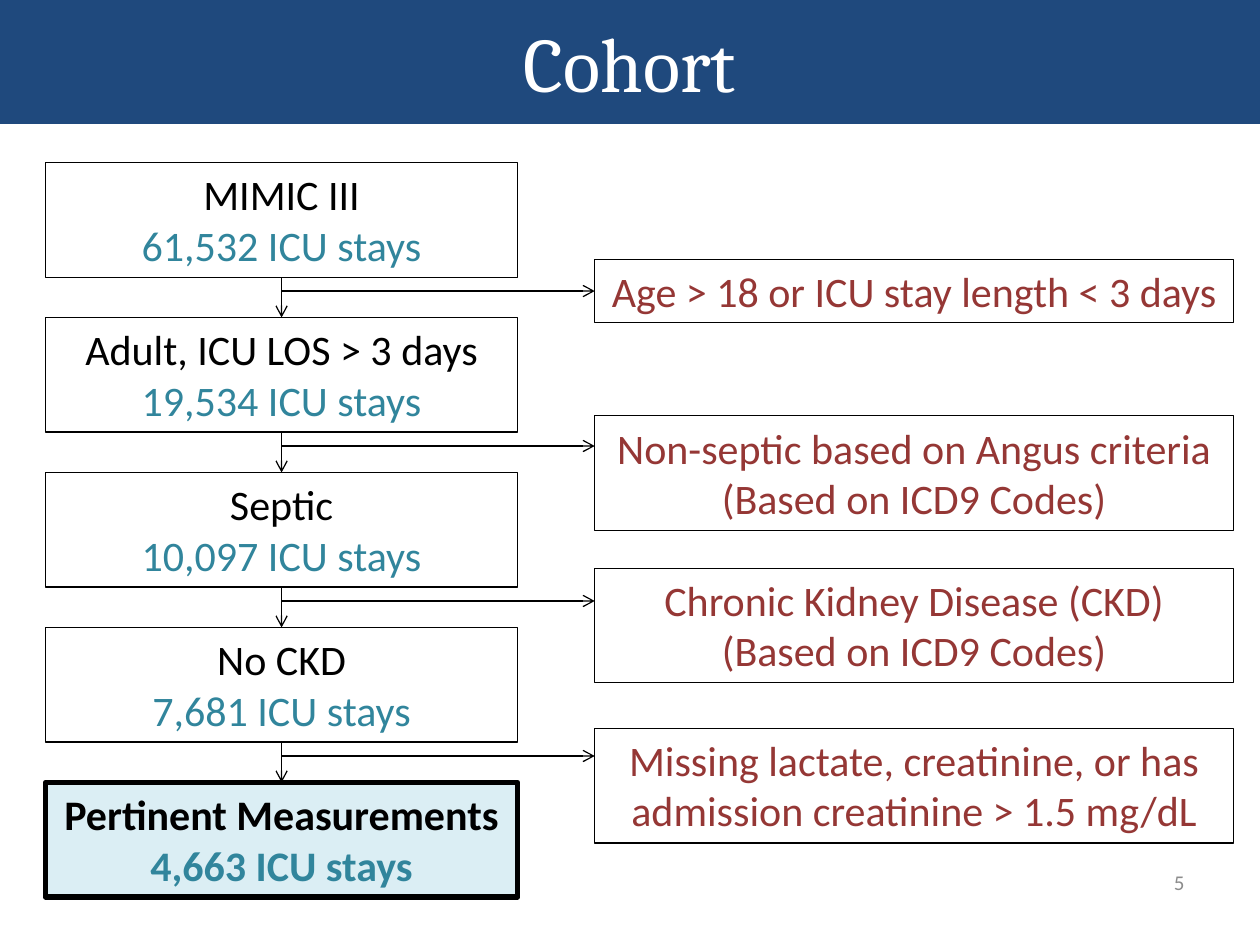
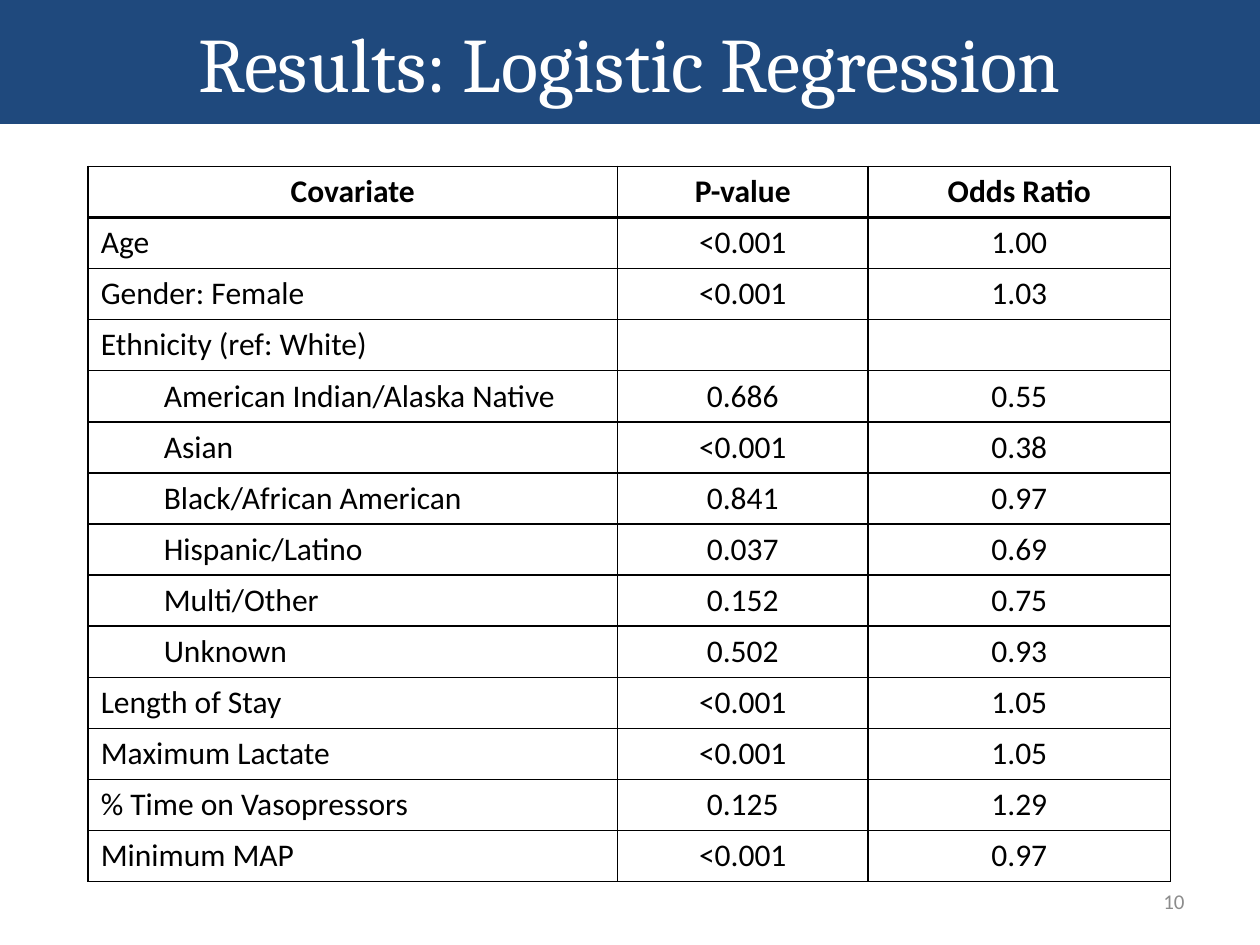
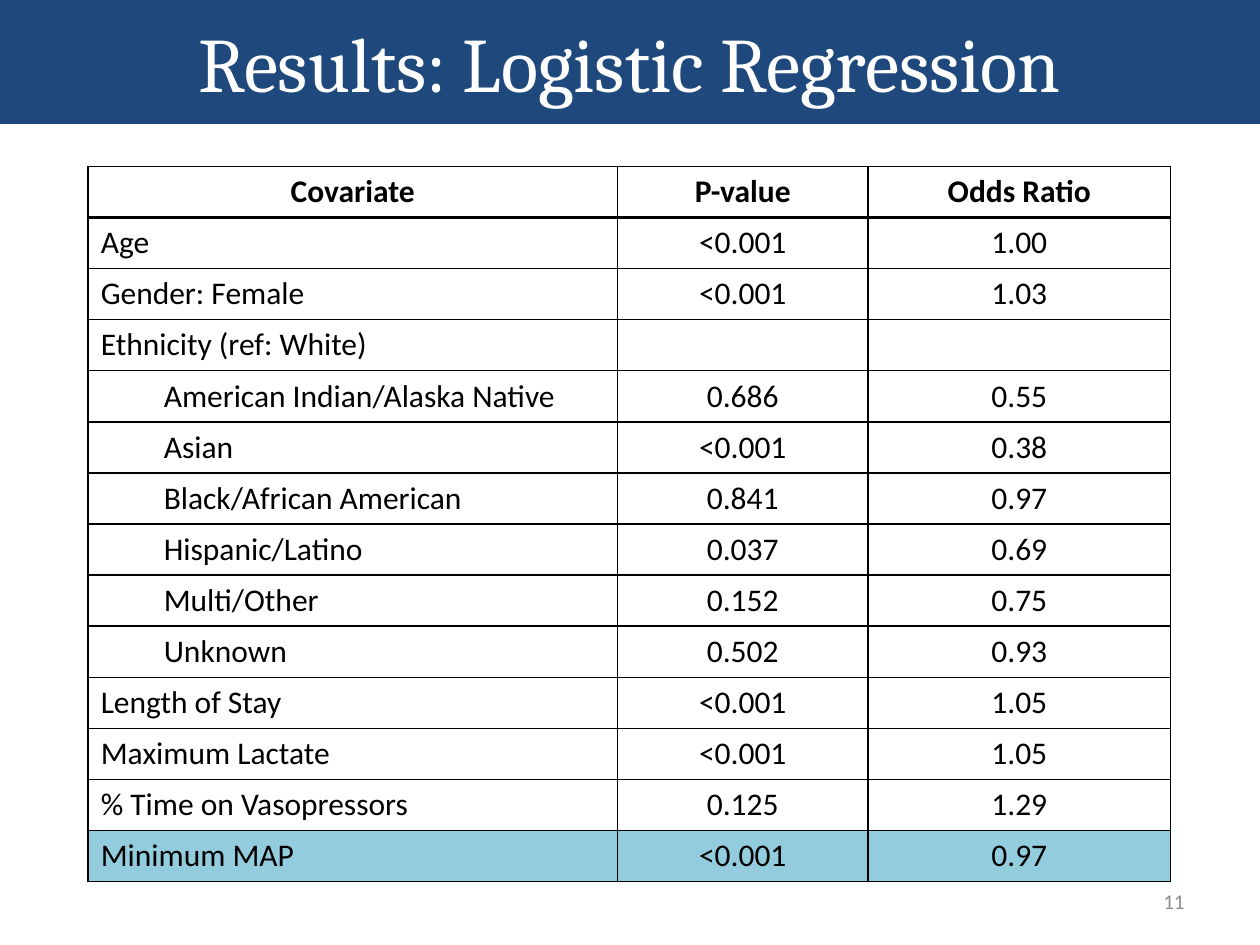
from lxml import etree
from pptx import Presentation
from pptx.dml.color import RGBColor
from pptx.enum.shapes import MSO_CONNECTOR, MSO_SHAPE
from pptx.enum.text import MSO_ANCHOR, MSO_AUTO_SIZE, PP_ALIGN
from pptx.oxml.ns import qn
from pptx.util import Inches, Pt

NAVY, WHITE, BLACK, GRAY = "1F497D", "FFFFFF", "000000", "8C8C8C"
TEAL, RED, PALE_BLUE, HIGHLIGHT = "31859C", "953735", "DBEEF4", "93CDDD"
BODY_FONT, TITLE_FONT = "Calibri", "Cambria"
BAND_HEIGHT = 0.98

STAGE_LEFT, STAGE_TOP, STAGE_STEP, STAGE_WIDTH = 0.36, 1.29, 1.23, 3.75
EXCLUSION_LEFT, EXCLUSION_WIDTH = 4.72, 5.07
BRANCH_TOP = 2.31
TWO_LINES, ONE_LINE = 0.91, 0.5

STAGES = [
    ("MIMIC III", "61,532 ICU stays"),
    ("Adult, ICU LOS > 3 days", "19,534 ICU stays"),
    ("Septic", "10,097 ICU stays"),
    ("No CKD", "7,681 ICU stays"),
    ("Pertinent Measurements", "4,663 ICU stays"),
]
EXCLUSIONS = [
    (2.06, ONE_LINE, ["Age > 18 or ICU stay length < 3 days"]),
    (3.3, TWO_LINES, ["Non-septic based on Angus criteria (Based on ICD9 Codes)"]),
    (4.51, TWO_LINES, ["Chronic Kidney Disease (CKD)", "(Based on ICD9 Codes)"]),
    (5.78, TWO_LINES, ["Missing lactate, creatinine, or has admission creatinine > 1.5 mg/dL"]),
]

COLUMN_WIDTHS = [4.2, 1.99, 2.4]
REGRESSION = [
    ("Covariate", "P-value", "Odds Ratio"),
    ("Age", "<0.001", "1.00"),
    ("Gender: Female", "<0.001", "1.03"),
    ("Ethnicity (ref: White)", "", ""),
    ("American Indian/Alaska Native", "0.686", "0.55"),
    ("Asian", "<0.001", "0.38"),
    ("Black/African American", "0.841", "0.97"),
    ("Hispanic/Latino", "0.037", "0.69"),
    ("Multi/Other", "0.152", "0.75"),
    ("Unknown", "0.502", "0.93"),
    ("Length of Stay", "<0.001", "1.05"),
    ("Maximum Lactate", "<0.001", "1.05"),
    ("% Time on Vasopressors", "0.125", "1.29"),
    ("Minimum MAP", "<0.001", "0.97"),
]
ETHNICITY_ROWS = range(4, 10)


def color(value):
    return RGBColor.from_string(value)


def format_para(para, size, ink, font=BODY_FONT, bold=False, align=PP_ALIGN.CENTER):
    para.alignment = align
    for span in para.runs:
        span.font.size = Pt(size)
        span.font.name = font
        span.font.bold = bold
        span.font.color.rgb = color(ink)


def add_box(page, left, top, width, height, fill=None, line=BLACK, line_width=0.75):
    box = page.shapes.add_shape(MSO_SHAPE.RECTANGLE, Inches(left), Inches(top),
                                Inches(width), Inches(height))
    box.shadow.inherit = False
    if fill:
        box.fill.solid()
        box.fill.fore_color.rgb = color(fill)
    else:
        box.fill.background()
    box.line.color.rgb = color(line)
    box.line.width = Pt(line_width)
    return box


def write_lines(box, lines, inks, bold=False):
    frame = box.text_frame
    frame.text = "\n".join(lines)
    frame.word_wrap = True
    frame.auto_size = MSO_AUTO_SIZE.SHAPE_TO_FIT_TEXT
    frame.vertical_anchor = MSO_ANCHOR.TOP
    for para, ink in zip(frame.paragraphs, inks):
        format_para(para, 24, ink, bold=bold)


def add_arrow(page, start, end):
    arrow = page.shapes.add_connector(MSO_CONNECTOR.STRAIGHT,
                                      *(Inches(value) for value in (*start, *end)))
    arrow.line.color.rgb = color(BLACK)
    arrow.line.width = Pt(0.75)
    etree.SubElement(arrow.line._get_or_add_ln(), qn("a:tailEnd"), type="arrow")
    etree.SubElement(arrow.element.spPr, qn("a:effectLst"))
    return arrow


def add_master_band(deck, page):
    """Draw the title band and move it behind everything on the slide master."""
    band = add_box(page, 0, 0, 10, BAND_HEIGHT, NAVY, NAVY)
    band.element.nvSpPr.cNvPr.set("id", "20")
    deck.slide_master.shapes.element.insert(2, band.element)


def add_page(deck, title, number, number_top):
    page = deck.slides.add_slide(deck.slide_layouts[5])
    heading = page.shapes.title
    heading.left, heading.top = Inches(0.5), Inches(0)
    heading.width, heading.height = Inches(9), Inches(BAND_HEIGHT)
    heading.text_frame.text = title
    heading.text_frame.vertical_anchor = MSO_ANCHOR.MIDDLE
    format_para(heading.text_frame.paragraphs[0], 44, WHITE, TITLE_FONT)

    footer = page.shapes.add_textbox(Inches(7.17), Inches(number_top), Inches(2.33), Inches(0.4))
    footer.text_frame.text = str(number)
    footer.text_frame.word_wrap = True
    footer.text_frame.vertical_anchor = MSO_ANCHOR.MIDDLE
    format_para(footer.text_frame.paragraphs[0], 12, GRAY, align=PP_ALIGN.RIGHT)
    return page


def add_stages(page):
    boxes = []
    for index, lines in enumerate(STAGES):
        final = index == len(STAGES) - 1
        box = add_box(page, STAGE_LEFT, STAGE_TOP + index * STAGE_STEP, STAGE_WIDTH, TWO_LINES,
                      fill=PALE_BLUE if final else None, line_width=3 if final else 0.75)
        write_lines(box, lines, [BLACK, TEAL], bold=final)
        boxes.append(box)
    for upper, lower in zip(boxes, boxes[1:]):
        arrow = add_arrow(page, (0, 0), (0, 0))
        arrow.begin_connect(upper, 2)
        arrow.end_connect(lower, 0)


def add_exclusions(page):
    center = STAGE_LEFT + STAGE_WIDTH / 2
    for index, (top, height, lines) in enumerate(EXCLUSIONS):
        box = add_box(page, EXCLUSION_LEFT, top, EXCLUSION_WIDTH, height)
        write_lines(box, lines, [RED] * len(lines))
        branch = BRANCH_TOP + index * STAGE_STEP
        arrow = add_arrow(page, (center, branch), (EXCLUSION_LEFT, branch))
        if abs(top + height / 2 - branch) < 0.01:
            arrow.end_connect(box, 1)


def set_borders(cell, top=1, bottom=1):
    properties = cell._tc.get_or_add_tcPr()
    for side, width in (("L", 1), ("R", 1), ("T", top), ("B", bottom)):
        border = etree.SubElement(properties, qn(f"a:ln{side}"), w=str(Pt(width)))
        fill = etree.SubElement(border, qn("a:solidFill"))
        etree.SubElement(fill, qn("a:srgbClr"), val=BLACK)


def add_regression_table(page, highlighted=None):
    table = page.shapes.add_table(len(REGRESSION), len(COLUMN_WIDTHS), Inches(0.7), Inches(1.32),
                                  Inches(sum(COLUMN_WIDTHS)), Inches(5.68)).table
    table.first_row = table.horz_banding = False
    for column, width in zip(table.columns, COLUMN_WIDTHS):
        column.width = Inches(width)
    for row, values in enumerate(REGRESSION):
        for column, value in enumerate(values):
            cell = table.cell(row, column)
            cell.text_frame.text = value
            para = cell.text_frame.paragraphs[0]
            label = row > 0 and column == 0
            format_para(para, 18, BLACK, bold=row == 0,
                        align=PP_ALIGN.LEFT if label else PP_ALIGN.CENTER)
            if label and row in ETHNICITY_ROWS:
                para._p.get_or_add_pPr().set("marL", str(Inches(0.5)))
            set_borders(cell, top=2.25 if row == 1 else 1, bottom=2.25 if row == 0 else 1)
            if values[0] == highlighted:
                cell.fill.solid()
                cell.fill.fore_color.rgb = color(HIGHLIGHT)
            else:
                cell.fill.background()


def main():
    deck = Presentation()
    deck.slide_width, deck.slide_height = Inches(10), Inches(7.5)

    cohort = add_page(deck, "Cohort", 5, 6.8)
    add_master_band(deck, cohort)
    add_stages(cohort)
    add_exclusions(cohort)

    for number, highlighted in ((10, None), (11, "Minimum MAP")):
        results = add_page(deck, "Results: Logistic Regression", number, 6.95)
        add_regression_table(results, highlighted)

    deck.save("out.pptx")


if __name__ == "__main__":
    main()
